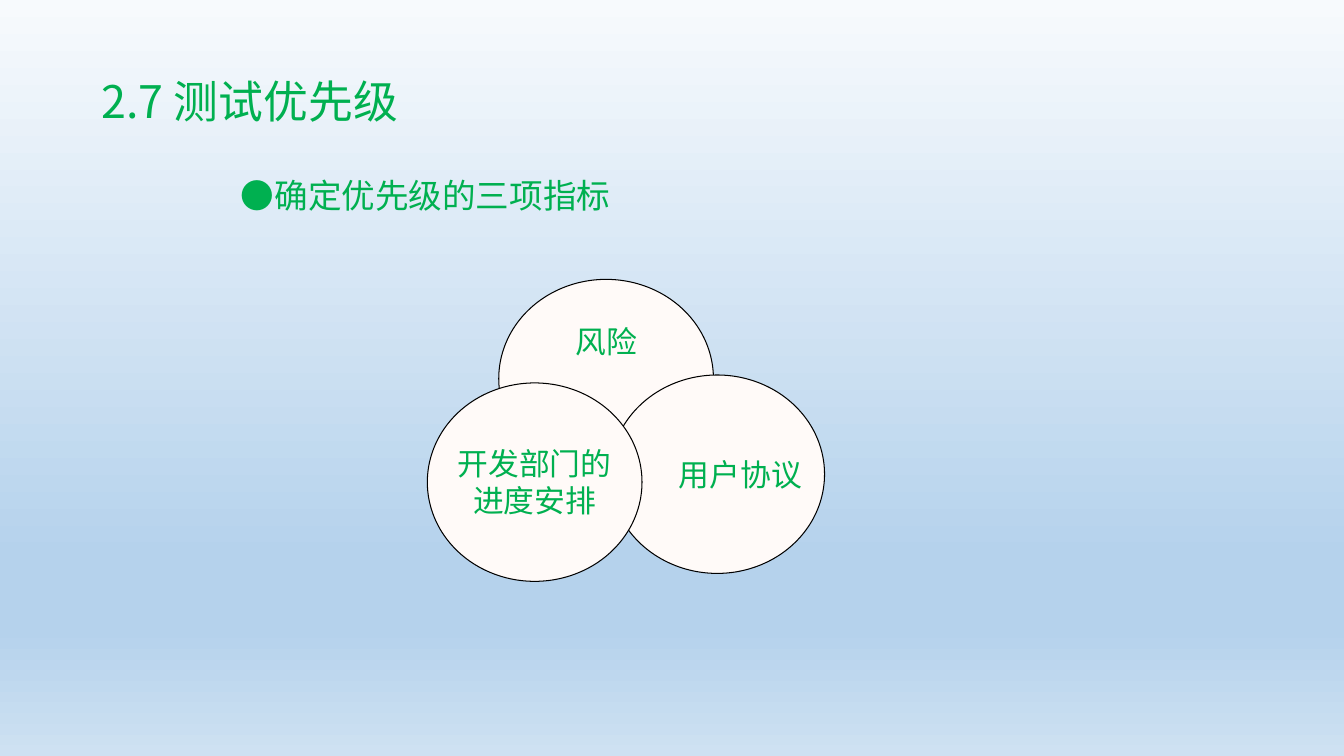
"""Build the slide on test priority with three overlapping circles."""
from lxml import etree
from pptx import Presentation
from pptx.dml.color import RGBColor
from pptx.enum.shapes import MSO_SHAPE
from pptx.enum.text import MSO_ANCHOR, PP_ALIGN
from pptx.oxml.ns import qn
from pptx.util import Cm, Pt

OVAL = MSO_SHAPE.OVAL
TOP, MIDDLE = MSO_ANCHOR.TOP, MSO_ANCHOR.MIDDLE
LEFT, CENTER = PP_ALIGN.LEFT, PP_ALIGN.CENTER

HEADS = [
    {"text": "2.7 测试优先级", "box": (2.31, 1.8, 22.86, 1.57),
     "style": "title", "anchor": MIDDLE},
    {"text": "●确定优先级的三项指标", "box": (5.82, 4.32, 12.9, 1.75),
     "style": "body", "anchor": TOP},
]
CIRCLES = [
    {"lines": ["风险"], "at": (12.57, 7.04), "pad": (0, 1.86)},
    {"lines": ["用户协议"], "at": (15.37, 9.45), "pad": (1.17, 0)},
    {"lines": ["开发部门的", "进度安排"], "at": (10.77, 9.65), "pad": (0, 0)},
]
SIZE = (5.41, 5.0)
INSET = (0.25, 0.13)

THEME = {
    "font": "Noto Sans CJK SC",
    "text": "00B050",
    "fill": "FFFAF8",
    "line": "000000",
    "sky": [(0, "F7FAFD"), (74, "B5D2EC"), (83, "B5D2EC"), (100, "CEE1F2")],
    "title": (32, 36),
    "body": (24, 28),
    "label": (22, 26.4),
}


def rgb(name):
    return RGBColor.from_string(THEME[name])


def paint(slide):
    fill = slide.background.fill
    fill.gradient()
    fill.gradient_angle = 270
    stops = slide.element.find(".//" + qn("a:gsLst"))
    for stop in list(stops):
        stops.remove(stop)
    for place, color in THEME["sky"]:
        stop = etree.SubElement(stops, qn("a:gs"), pos=str(place * 1000))
        etree.SubElement(stop, qn("a:srgbClr"), val=color)


def write(frame, lines, style, align, anchor):
    size, pitch = THEME[style]
    frame.vertical_anchor = anchor
    for row, text in enumerate(lines):
        para = frame.add_paragraph() if row else frame.paragraphs[0]
        para.alignment = align
        para.line_spacing = Pt(pitch)
        run = para.add_run()
        run.text = text
        font = run.font
        font.name, font.size = THEME["font"], Pt(size)
        font.color.rgb = rgb("text")
        etree.SubElement(run._r.get_or_add_rPr(), qn("a:ea"),
                         typeface=THEME["font"])


def circle(slide, item):
    shape = slide.shapes.add_shape(OVAL, *map(Cm, item["at"] + SIZE))
    shape.shadow.inherit = False
    shape.fill.solid()
    shape.fill.fore_color.rgb = rgb("fill")
    shape.line.color.rgb = rgb("line")
    shape.line.width = Pt(0.75)
    frame = shape.text_frame
    frame.word_wrap = False
    left, low = item["pad"]
    frame.margin_left = Cm(INSET[0] + left)
    frame.margin_bottom = Cm(INSET[1] + low)
    write(frame, item["lines"], "label", CENTER, MIDDLE)


def head(slide, item):
    frame = slide.shapes.add_textbox(*map(Cm, item["box"])).text_frame
    frame.word_wrap = True
    write(frame, [item["text"]], item["style"], LEFT, item["anchor"])


def main():
    deck = Presentation()
    deck.slide_width, deck.slide_height = Cm(33.87), Cm(19.05)
    slide = deck.slides.add_slide(deck.slide_layouts[6])
    paint(slide)
    for item in HEADS:
        head(slide, item)
    for item in CIRCLES:
        circle(slide, item)
    deck.save("out.pptx")


if __name__ == "__main__":
    main()
